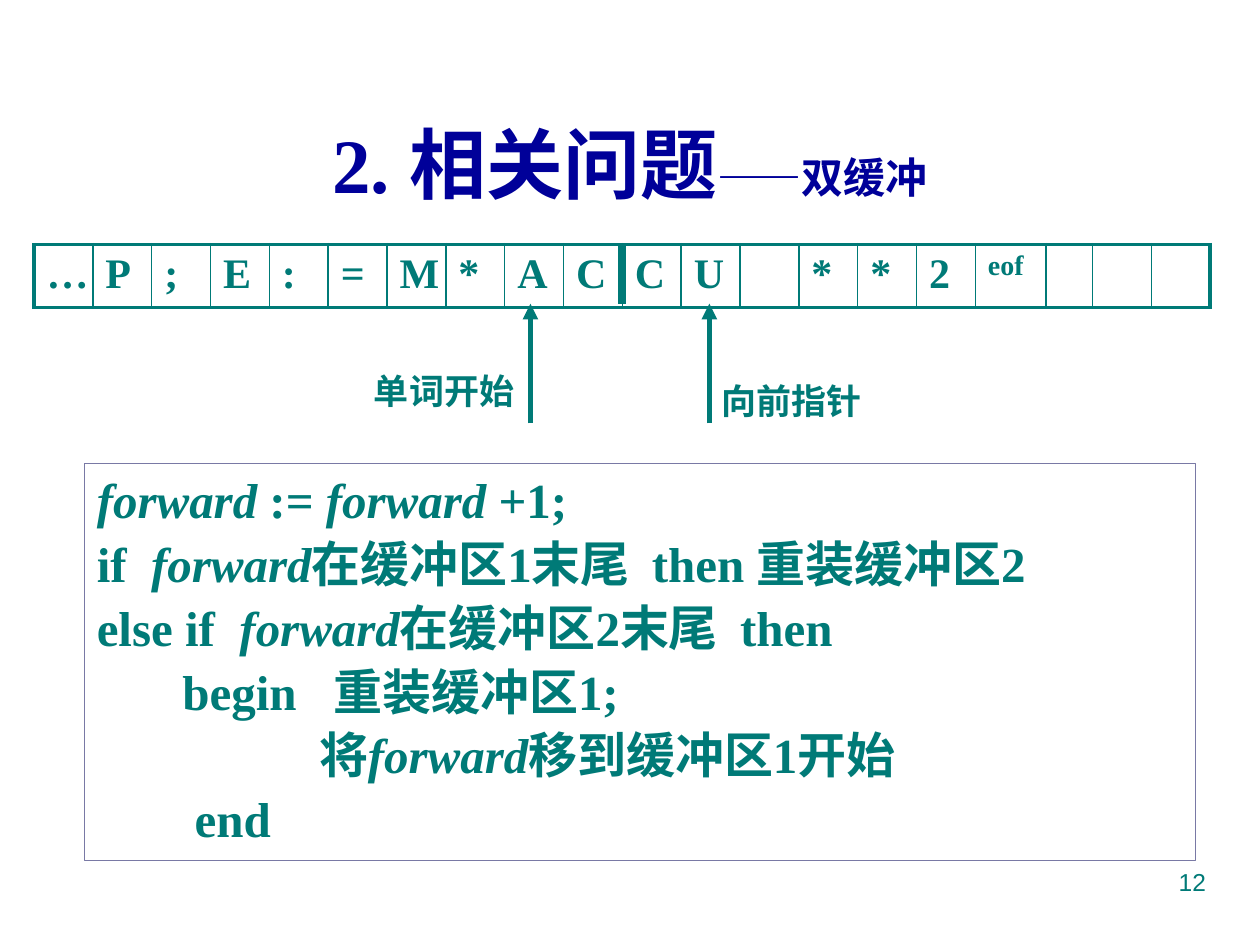
from dataclasses import dataclass

from lxml import etree
from pptx import Presentation
from pptx.dml.color import RGBColor
from pptx.enum.shapes import MSO_CONNECTOR, MSO_SHAPE
from pptx.enum.text import MSO_ANCHOR, MSO_AUTO_SIZE, PP_ALIGN
from pptx.oxml.ns import qn
from pptx.util import Inches, Pt

STRAIGHT = MSO_CONNECTOR.STRAIGHT
RECTANGLE = MSO_SHAPE.RECTANGLE
TOP, MIDDLE = MSO_ANCHOR.TOP, MSO_ANCHOR.MIDDLE
NO_FIT = MSO_AUTO_SIZE.NONE
LEFT, CENTER, RIGHT, JUSTIFY = PP_ALIGN.LEFT, PP_ALIGN.CENTER, PP_ALIGN.RIGHT, PP_ALIGN.JUSTIFY


@dataclass(frozen=True)
class Theme:
    teal: str = "007A77"
    navy: str = "000099"
    frame: str = "7979A5"
    serif: str = "Times New Roman"
    sans: str = "Arial"
    title: int = 44
    subtitle: int = 24
    code: int = 28
    cell: int = 24
    eof: int = 16
    label: int = 20
    number: int = 14
    thin: float = 1
    thick: float = 2.25


class SlideBuilder:
    def __init__(self, prs, theme):
        self.theme = theme
        self.slide = prs.slides.add_slide(prs.slide_layouts[5])

    def run(self, p, text, size, font, color, bold=True, italic=False):
        r = p.add_run()
        r.text = text
        r.font.size = Pt(size)
        r.font.name = font
        r.font.bold = bold
        r.font.italic = italic
        r.font.color.rgb = RGBColor.from_string(color)

    def frame(self, sp, anchor=TOP):
        tf = sp.text_frame
        tf.word_wrap = True
        tf.auto_size = NO_FIT
        tf.vertical_anchor = anchor
        return tf

    def title(self, box, main, side):
        t = self.theme
        sp = self.slide.shapes.title
        sp.left, sp.top, sp.width, sp.height = map(Inches, box)
        p = self.frame(sp, MIDDLE).paragraphs[0]
        p.alignment = CENTER
        self.run(p, main, t.title, t.serif, t.navy)
        self.run(p, side, t.subtitle, t.serif, t.navy)

    def text(self, box, text, size, align=LEFT, bold=True, shapes=None):
        sp = (shapes or self.slide.shapes).add_textbox(*map(Inches, box))
        p = self.frame(sp).paragraphs[0]
        p.alignment = align
        self.run(p, text, size, self.theme.sans, self.theme.teal, bold)

    def line(self, start, end, width, arrow=False, shapes=None):
        shapes = shapes or self.slide.shapes
        cx = shapes.add_connector(STRAIGHT, *map(Inches, start + end))
        cx.line.color.rgb = RGBColor.from_string(self.theme.teal)
        cx.line.width = Pt(width)
        if arrow:
            etree.SubElement(cx.line._get_or_add_ln(), qn("a:tailEnd"), type="triangle")
        etree.SubElement(cx._element.spPr, qn("a:effectLst"))

    def pointer(self, x, label_box, label):
        shapes = self.slide.shapes.add_group_shape().shapes
        self.line((x, 3.36), (x, 2.41), 3, arrow=True, shapes=shapes)
        self.text(label_box, label, self.theme.label, shapes=shapes)

    def code(self, box, lines):
        t = self.theme
        sp = self.slide.shapes.add_shape(RECTANGLE, *map(Inches, box))
        sp.shadow.inherit = False
        sp.fill.background()
        sp.line.color.rgb = RGBColor.from_string(t.frame)
        sp.line.width = Pt(0.75)
        tf = self.frame(sp)
        for i, line in enumerate(lines):
            p = tf.add_paragraph() if i else tf.paragraphs[0]
            p.alignment = JUSTIFY
            p.space_before = Pt(t.code * 0.1 if i else 0)
            for j, part in enumerate(line.split("forward")):
                if j:
                    self.run(p, "forward", t.code, t.serif, t.teal, italic=True)
                if part:
                    self.run(p, part, t.code, t.serif, t.teal)

    def border(self, cell, side, width):
        ln = etree.SubElement(cell._tc.get_or_add_tcPr(), qn(f"a:ln{side}"), w=str(Pt(width)))
        fill = etree.SubElement(ln, qn("a:solidFill"))
        etree.SubElement(fill, qn("a:srgbClr"), val=self.theme.teal)

    def buffer(self, box, symbols, special_widths):
        t = self.theme
        count = len(symbols)
        regular = (box[2] - sum(special_widths.values())) / (count - len(special_widths))
        table = self.slide.shapes.add_table(1, count, *map(Inches, box)).table
        table.first_row = table.horz_banding = False
        for i, symbol in enumerate(symbols):
            table.columns[i].width = Inches(special_widths.get(i, regular))
            cell = table.cell(0, i)
            self.border(cell, "L", t.thin if i else t.thick)
            self.border(cell, "R", t.thin if i < count - 1 else t.thick)
            self.border(cell, "T", t.thick)
            self.border(cell, "B", t.thick)
            cell.fill.background()
            if symbol:
                size = t.eof if symbol == "eof" else t.cell
                self.run(cell.text_frame.paragraphs[0], symbol, size, t.serif, t.teal)


def main():
    prs = Presentation()
    prs.slide_width, prs.slide_height = Inches(10), Inches(7.5)
    theme = Theme()
    s = SlideBuilder(prs, theme)

    s.text((7.17, 6.83, 2.5, 0.52), "12", theme.number, RIGHT, bold=False)
    s.title((0.33, 0.67, 9.34, 1.25), "2. 相关问题", "——双缓冲")
    s.code((0.67, 3.68, 8.82, 3.15), [
        "forward := forward +1;",
        "if  forward在缓冲区1末尾  then 重装缓冲区2",
        "else if  forward在缓冲区2末尾  then ",
        "       begin   重装缓冲区1;",
        "                    将forward移到缓冲区1开始",
        "        end",
    ])
    symbols = [*"…P;E:=M*ACCU", "", *"**2", "eof", "", "", ""]
    s.buffer((0.27, 1.94, 9.34, 0.5), symbols, {16: 0.56, 17: 0.37})
    s.pointer(4.21, (2.87, 2.88, 1.34, 0.43), "单词开始")
    s.pointer(5.63, (5.63, 2.96, 1.34, 0.43), "向前指针")
    s.line((4.94, 1.94), (4.94, 2.41), 4.5)

    prs.save("out.pptx")


if __name__ == "__main__":
    main()
